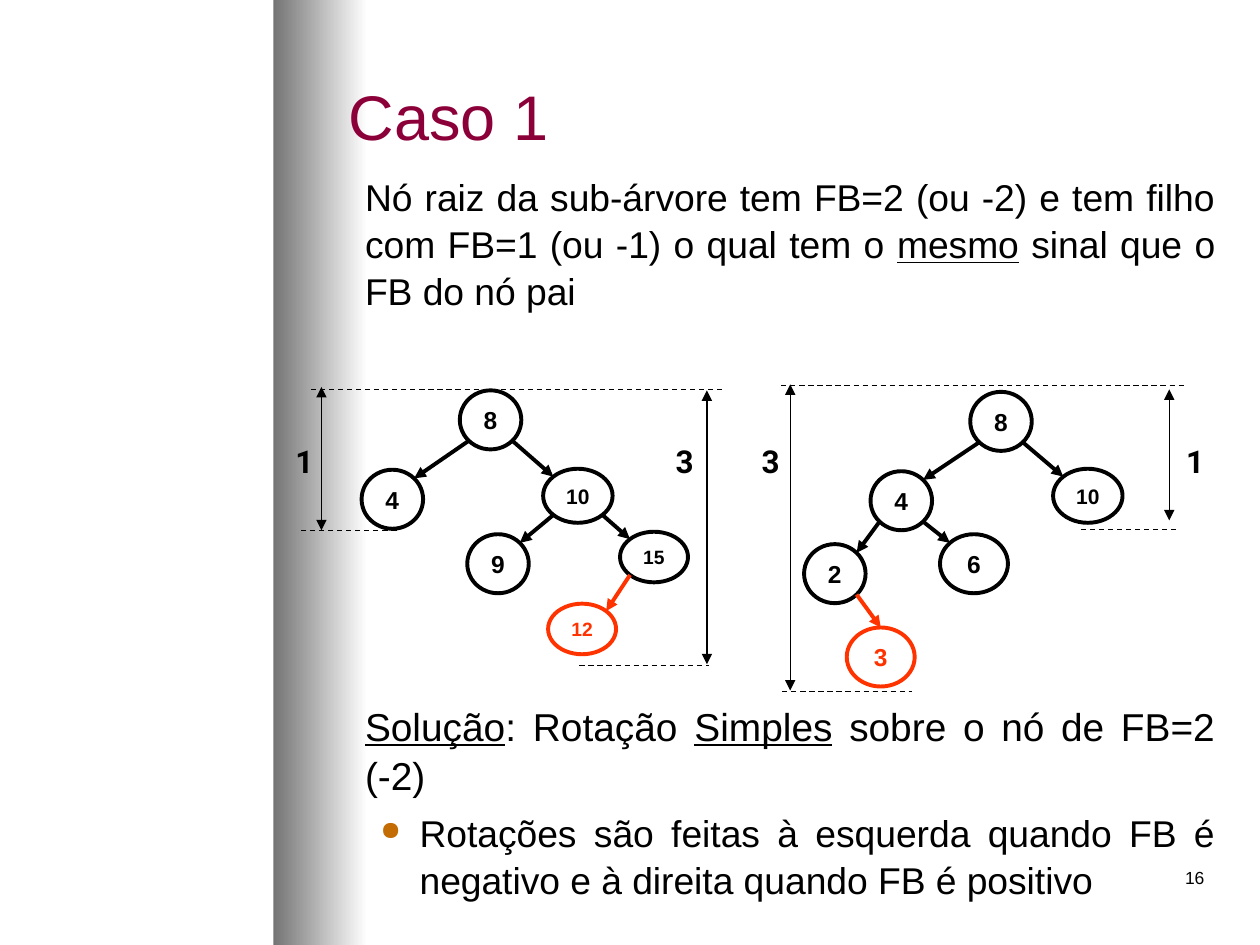
from dataclasses import dataclass
from math import sqrt

from lxml.etree import SubElement
from pptx import Presentation
from pptx.dml.color import RGBColor
from pptx.enum.dml import MSO_LINE
from pptx.enum.shapes import MSO_CONNECTOR, MSO_SHAPE
from pptx.enum.text import MSO_ANCHOR, PP_ALIGN
from pptx.oxml.ns import qn
from pptx.util import Cm, Pt


@dataclass(frozen=True)
class Theme:
    ink: RGBColor = RGBColor(0x00, 0x00, 0x00)
    paper: RGBColor = RGBColor(0xFF, 0xFF, 0xFF)
    heading: RGBColor = RGBColor(0x8C, 0x00, 0x39)
    inserted: RGBColor = RGBColor(0xFF, 0x33, 0x00)
    shade: RGBColor = RGBColor(0x74, 0x74, 0x74)
    bullet: str = "C36C03"
    font: str = "Arial"
    label_font: str = "Roboto"
    title_size: float = 36
    text_size: float = 21.3
    solution_size: float = 22.2
    label_size: float = 18
    number_size: float = 10
    edge_width: float = 2.25
    measure_width: float = 0.75


THEME = Theme()

NODE_KINDS = {
    "circle": (1.24, 1.19, 14),
    "wide": (1.37, 1.19, 14),
    "ten": (1.40, 1.09, 12),
    "flat": (1.37, 1.02, 11),
}

LEFT_TREE = {
    "8": ("circle", 9.27, 7.87, None),
    "4": ("circle", 7.29, 9.47, "8"),
    "10": ("ten", 10.95, 9.45, "8"),
    "9": ("circle", 9.42, 10.77, "10"),
    "15": ("flat", 12.5, 10.72, "10"),
    "12": ("flat", 11.05, 12.17, "15"),
}
RIGHT_TREE = {
    "8": ("circle", 19.56, 7.9, None),
    "4": ("circle", 17.55, 9.5, "8"),
    "10": ("ten", 21.23, 9.45, "8"),
    "2": ("circle", 16.21, 10.97, "4"),
    "6": ("wide", 18.95, 10.77, "4"),
    "3": ("wide", 17.07, 12.65, "2"),
}

HEIGHT_ARROWS = [
    (6.48, 7.8, 10.69),
    (14.25, 7.87, 13.39),
    (23.57, 7.85, 10.49),
    (15.93, 7.75, 13.92),
]
LEVEL_LINES = [
    (7.85, 6.27, 14.55),
    (7.77, 15.75, 23.9),
    (10.69, 6.07, 8.03),
    (13.41, 11.68, 14.3),
    (10.67, 21.79, 23.77),
    (13.94, 15.77, 18.39),
]
HEIGHT_LABELS = [("1", 5.64), ("3", 13.31), ("3", 15.04), ("1", 23.6)]

STATEMENT = [
    ("Nó raiz da sub-árvore tem FB=2 (ou -2) e tem filho com FB=1 (ou -1) o qual tem o ", False),
    ("mesmo", True),
    (" sinal que o FB do nó pai", False),
]
SOLUTION = [
    ("Solução", True),
    (": Rotação ", False),
    ("Simples", True),
    (" sobre o nó de FB=2 (-2)", False),
]
ROTATIONS = [
    ("Rotações são feitas à esquerda quando FB é negativo e à direita quando FB é positivo", False),
]


def apply(target, formats):
    for name, value in formats.items():
        setattr(target, name, value)


def place(left, top, width, height):
    return {"left": Cm(left), "top": Cm(top), "width": Cm(width), "height": Cm(height)}


def frame_format(anchor=MSO_ANCHOR.TOP, wrap=True):
    margins = dict.fromkeys(("margin_left", "margin_top", "margin_right", "margin_bottom"), 0)
    return {**margins, "vertical_anchor": anchor, "word_wrap": wrap}


def write_para(para, spans, size, color=THEME.ink, font=THEME.font, bold=False, **formats):
    apply(para, formats)
    for text, underline in spans:
        span = para.add_run()
        span.text = text
        apply(span.font, {"name": font, "size": Pt(size), "bold": bold, "underline": underline})
        span.font.color.rgb = color


def add_text(page, position, spans, size, **formats):
    box = page.shapes.add_textbox(*(Cm(length) for length in position))
    apply(box.text_frame, frame_format())
    write_para(box.text_frame.paragraphs[0], spans, size, **formats)
    return box


def add_bullet(para, indent, hanging):
    properties = para._p.get_or_add_pPr()
    properties.set("marL", str(Cm(indent)))
    properties.set("indent", str(-Cm(hanging)))
    SubElement(SubElement(properties, qn("a:buClr")), qn("a:srgbClr"), val=THEME.bullet)
    SubElement(properties, qn("a:buSzPct"), val="70000")
    SubElement(properties, qn("a:buChar"), char="●")


def add_line(page, start, end, width, color=THEME.ink, dash=None, heads=()):
    points = [Cm(length) for length in (*start, *end)]
    line = page.shapes.add_connector(MSO_CONNECTOR.STRAIGHT, *points)
    line.line.color.rgb = color
    apply(line.line, {"width": Pt(width), "dash_style": dash})
    properties = line.element.find(qn("p:spPr"))
    for head in heads:
        SubElement(properties.find(qn("a:ln")), qn(f"a:{head}"), type="triangle")
    SubElement(properties, qn("a:effectLst"))
    return line


def add_node(page, label, kind, left, top, color):
    width, height, size = NODE_KINDS[kind]
    node = page.shapes.add_shape(MSO_SHAPE.OVAL, Cm(left), Cm(top), Cm(width), Cm(height))
    node.shadow.inherit = False
    node.fill.solid()
    node.fill.fore_color.rgb = THEME.paper
    node.line.color.rgb = color
    node.line.width = Pt(THEME.edge_width)
    apply(node.text_frame, frame_format(MSO_ANCHOR.MIDDLE, wrap=False))
    write_para(node.text_frame.paragraphs[0], [(label, False)], size, color,
               bold=True, alignment=PP_ALIGN.CENTER)
    return node


def diagonal_point(kind, left, top, across, down):
    width, height, _ = NODE_KINDS[kind]
    return (left + width / 2 * (1 + across / sqrt(2)),
            top + height / 2 * (1 + down / sqrt(2)))


def add_tree(page, tree, inserted, joins_top=False):
    colors = {label: THEME.inserted if label == inserted else THEME.ink for label in tree}
    nodes = {label: add_node(page, label, *entry[:3], colors[label])
             for label, entry in tree.items()}
    for label, (*spot, parent) in tree.items():
        if parent is None:
            continue
        parent_spot = tree[parent][:3]
        side = 1 if spot[1] > parent_spot[1] else -1
        edge = add_line(page, diagonal_point(*parent_spot, side, 1),
                        diagonal_point(*spot, -side, -1),
                        THEME.edge_width, colors[label], heads=("tailEnd",))
        if joins_top and label == inserted:
            edge.end_connect(nodes[label], 0)


def add_measures(page):
    for x, top, bottom in HEIGHT_ARROWS:
        add_line(page, (x, top), (x, bottom), THEME.measure_width, heads=("headEnd", "tailEnd"))
    for y, left, right in LEVEL_LINES:
        add_line(page, (left, y), (right, y), THEME.measure_width, dash=MSO_LINE.DASH)
    for label, left in HEIGHT_LABELS:
        add_text(page, (left, 8.92, 0.99, 0.99), [(label, False)], THEME.label_size,
                 font=THEME.label_font, bold=True, alignment=PP_ALIGN.CENTER)


def add_title(page, text):
    title = page.shapes.title
    apply(title, place(6.78, 0.64, 17.78, 3.38))
    apply(title.text_frame, {"vertical_anchor": MSO_ANCHOR.MIDDLE, "word_wrap": True})
    write_para(title.text_frame.paragraphs[0], [(text, False)], THEME.title_size,
               THEME.heading, alignment=PP_ALIGN.LEFT)


def add_side_band(page):
    band = page.shapes.add_shape(MSO_SHAPE.RECTANGLE, Cm(5.51), 0, Cm(1.9), Cm(19.05))
    band.shadow.inherit = False
    band.line.fill.background()
    band.fill.gradient()
    band.fill.gradient_angle = 0
    for stop, color in zip(band.fill.gradient_stops, (THEME.shade, THEME.paper)):
        stop.color.rgb = color
    page.shapes.title.element.addprevious(band.element)


def add_body(page):
    justified = {"alignment": PP_ALIGN.JUSTIFY, "line_spacing": 1.05}
    add_text(page, (7.36, 3.47, 17.14, 2.9), STATEMENT, THEME.text_size, **justified)
    box = add_text(page, (7.36, 14.11, 17.14, 4.2), SOLUTION, THEME.solution_size, **justified)
    para = box.text_frame.add_paragraph()
    add_bullet(para, 1.1, 0.79)
    write_para(para, ROTATIONS, THEME.text_size, space_before=Pt(5.8), **justified)


def main():
    deck = Presentation()
    apply(deck, {"slide_width": Cm(25.4), "slide_height": Cm(19.05)})
    page = deck.slides.add_slide(deck.slide_layouts[5])
    add_side_band(page)
    add_title(page, "Caso 1")
    add_body(page)
    add_tree(page, LEFT_TREE, "12")
    add_tree(page, RIGHT_TREE, "3", joins_top=True)
    add_measures(page)
    add_text(page, (19.25, 17.48, 5.03, 1.0), [("16", False)], THEME.number_size,
             alignment=PP_ALIGN.RIGHT)
    deck.save("out.pptx")


if __name__ == "__main__":
    main()
